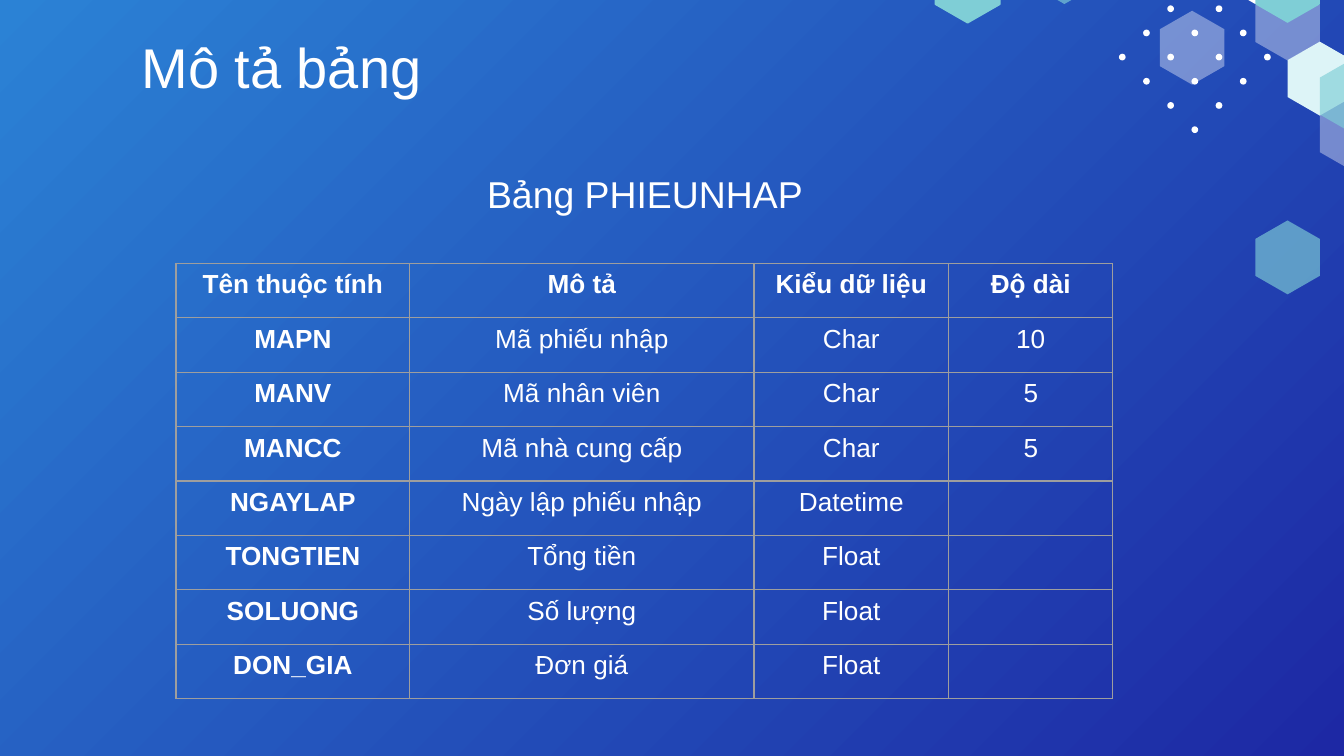
"""Build the slide that describes the PHIEUNHAP table."""
from dataclasses import dataclass

from lxml import etree
from pptx import Presentation
from pptx import util as u
from pptx.dml.color import RGBColor
from pptx.enum import shapes, text
from pptx.oxml import ns

HUES = {
    "start": "2B82D5",
    "end": "1D28A4",
    "white": "FFFFFF",
    "teal": "7FCED6",
    "pale": "DDF4F7",
    "grid": "9E9E9E",
}
FONT = "Arial"
DOT = 0.05
STEP = 0.18
HEX_W, HEX_H = 0.48, 0.55
WIDTHS = (1.74, 2.56, 1.45, 1.22)
TALL = 3.24


@dataclass
class Hex:
    x: float
    y: float
    hue: str
    alpha: int = 100
    edged: bool = False


@dataclass
class Label:
    words: str
    x: float
    y: float
    wide: float
    size: int


HEXES = (
    Hex(9.34, -0.1, "white", 38),
    Hex(9.1, -0.52, "white"),
    Hex(7.68, -0.52, "teal", 65),
    Hex(9.58, 0.31, "pale"),
    Hex(9.82, 0.72, "white", 38),
    Hex(8.63, 0.08, "white", 38),
    Hex(9.34, -0.38, "teal"),
    Hex(6.96, -0.38, "teal", edged=True),
    Hex(9.82, 0.44, "teal", 65),
    Hex(9.34, 1.64, "teal", 65),
)
DOT_ROWS = (2, 3, 4, 3, 2, 1)
LABELS = (
    Label("Mô tả bảng", 0.49, 0.22, 3.21, 30),
    Label("Bảng PHIEUNHAP", 1.9, 1.09, 5.8, 20),
)
ROWS = (
    ("Tên thuộc tính", "Mô tả", "Kiểu dữ liệu", "Độ dài"),
    ("MAPN", "Mã phiếu nhập", "Char", "10"),
    ("MANV", "Mã nhân viên", "Char", "5"),
    ("MANCC", "Mã nhà cung cấp", "Char", "5"),
    ("NGAYLAP", "Ngày lập phiếu nhập", "Datetime", ""),
    ("TONGTIEN", "Tổng tiền", "Float", ""),
    ("SOLUONG", "Số lượng", "Float", ""),
    ("DON_GIA", "Đơn giá", "Float", ""),
)


def tint(name: str) -> RGBColor:
    """Return the named colour."""
    return RGBColor.from_string(HUES[name])


def paint(shape, hue: str, alpha: int = 100) -> None:
    """Give a shape a plain fill, with no line or shadow."""
    shape.shadow.inherit = False
    shape.fill.solid()
    shape.fill.fore_color.rgb = tint(hue)
    shape.line.fill.background()
    if alpha < 100:
        clr = shape.fill._xPr.find(".//" + ns.qn("a:srgbClr"))
        etree.SubElement(clr, ns.qn("a:alpha"), val=str(alpha * 1000))


def write(frame, words: str, size: int, bold: bool = False) -> None:
    """Add one centred white run to a text frame."""
    para = frame.paragraphs[0]
    para.alignment = text.PP_ALIGN.CENTER
    run = para.add_run()
    run.text = words
    run.font.name = FONT
    run.font.size = u.Pt(size)
    run.font.bold = bold
    run.font.color.rgb = tint("white")


def draw_back(slide) -> None:
    """Fill the background with a diagonal gradient."""
    fill = slide.background.fill
    fill.gradient()
    fill.gradient_angle = 315
    for stop, name in zip(fill.gradient_stops, ("start", "end")):
        stop.color.rgb = tint(name)


def draw_dots(slide) -> None:
    """Draw the diamond of dots."""
    for row, count in enumerate(DOT_ROWS):
        for col in range(count):
            x = 8.89 + STEP * (2 * col - count + 1) - DOT / 2
            y = 0.04 + STEP * row
            dot = slide.shapes.add_shape(
                shapes.MSO_SHAPE.OVAL,
                u.Inches(x), u.Inches(y), u.Inches(DOT), u.Inches(DOT))
            paint(dot, "white")


def draw_hex(slide, item: Hex) -> None:
    """Draw one upright hexagon."""
    mid, right = item.x + HEX_W / 2, item.x + HEX_W
    high, low = item.y + HEX_H / 4, item.y + HEX_H * 3 / 4
    points = [(right, high), (right, low), (mid, item.y + HEX_H),
              (item.x, low), (item.x, high)]
    path = slide.shapes.build_freeform(
        u.Inches(mid), u.Inches(item.y))
    path.add_line_segments(
        [(u.Inches(x), u.Inches(y)) for x, y in points], close=True)
    shape = path.convert_to_shape()
    paint(shape, item.hue, item.alpha)
    if item.edged:
        shape.line.color.rgb = tint(item.hue)
        shape.line.width = u.Pt(0.75)


def draw_label(slide, item: Label) -> None:
    """Draw one line of heading text."""
    box = slide.shapes.add_textbox(
        u.Inches(item.x), u.Inches(item.y),
        u.Inches(item.wide), u.Inches(0.62))
    frame = box.text_frame
    frame.word_wrap = True
    frame.vertical_anchor = text.MSO_ANCHOR.BOTTOM
    frame.margin_left = frame.margin_right = u.Inches(0.1)
    frame.margin_top = frame.margin_bottom = u.Inches(0.1)
    write(frame, item.words, item.size)


def edge(cell) -> None:
    """Draw thin lines on all sides of a cell."""
    props = cell._tc.get_or_add_tcPr()
    for side in ("lnL", "lnR", "lnT", "lnB"):
        line = etree.SubElement(
            props, ns.qn(f"a:{side}"), w=str(u.Pt(0.75)))
        fill = etree.SubElement(line, ns.qn("a:solidFill"))
        etree.SubElement(fill, ns.qn("a:srgbClr"), val=HUES["grid"])


def draw_table(slide) -> None:
    """Draw the table of fields."""
    table = slide.shapes.add_table(
        len(ROWS), len(WIDTHS), u.Inches(1.31), u.Inches(1.96),
        u.Inches(sum(WIDTHS)), u.Inches(TALL)).table
    table.first_row = table.horz_banding = False
    for col, wide in zip(table.columns, WIDTHS):
        col.width = u.Inches(wide)
    for r, row in enumerate(ROWS):
        for c, words in enumerate(row):
            cell = table.cell(r, c)
            edge(cell)
            cell.fill.background()
            if words:
                write(cell.text_frame, words, 14, r == 0 or c == 0)


def main() -> None:
    """Build and save the slide."""
    deck = Presentation()
    deck.slide_width = u.Inches(10)
    deck.slide_height = u.Inches(10 * 9 / 16)
    slide = deck.slides.add_slide(deck.slide_layouts[6])
    draw_back(slide)
    draw_dots(slide)
    for item in HEXES:
        draw_hex(slide, item)
    for item in LABELS:
        draw_label(slide, item)
    draw_table(slide)
    deck.save("out.pptx")


if __name__ == "__main__":
    main()
